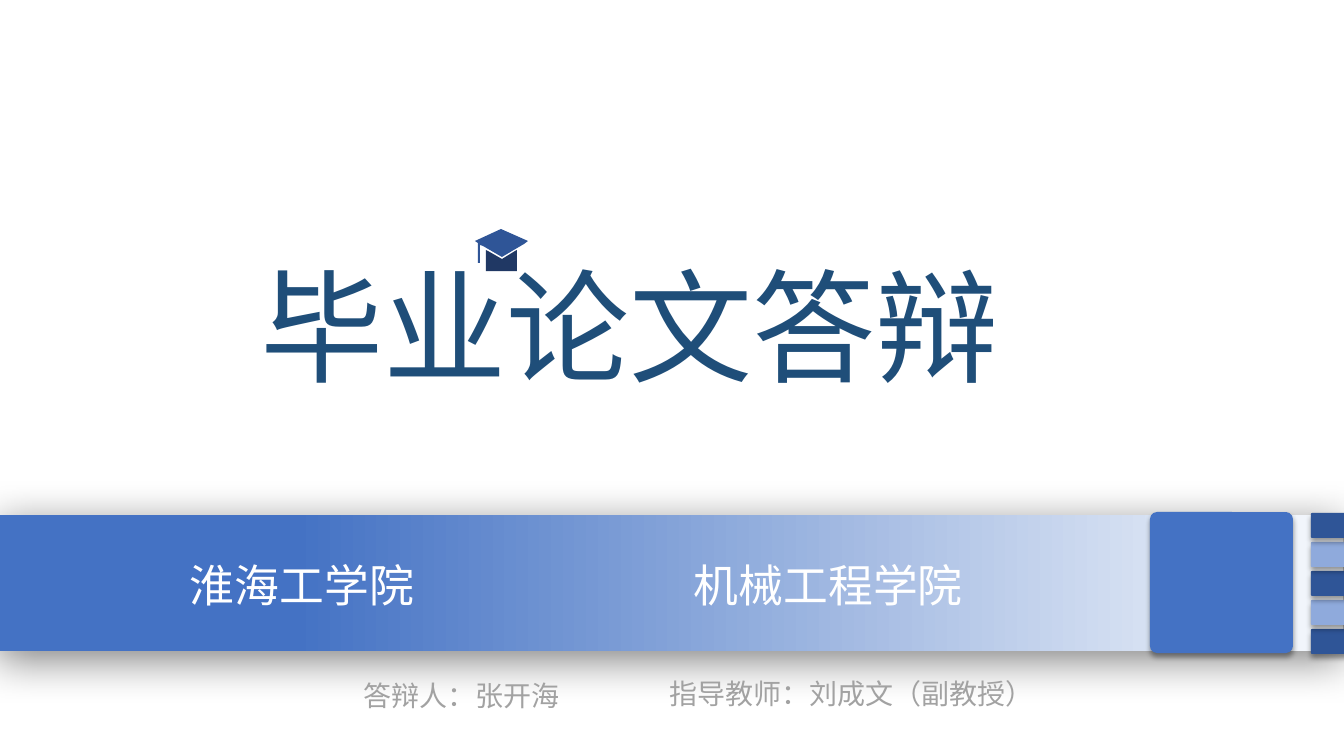
"""Build the opening slide of a graduation thesis defence."""
import lxml.etree
import pptx
import pptx.dml.color
import pptx.enum.shapes
import pptx.enum.text
import pptx.oxml.ns
import pptx.util

PX = 914400 / 100.8
FONT = "Noto Sans CJK SC"
SHAPES = pptx.enum.shapes.MSO_SHAPE
ALIGN = pptx.enum.text.PP_ALIGN
BLUE, DARK_BLUE, LIGHT_BLUE, NAVY = "4472C4", "2F5597", "8FAADC", "203864"
SOFT_SHADOW = (40, 4, 3, 90)
color = pptx.dml.color.RGBColor.from_string
qn = pptx.oxml.ns.qn


def add_block(kind, frame, shadow):
    """Add an unlined shape whose shadow is opacity, blur, distance and angle."""
    block = page.shapes.add_shape(kind, *[round(value * PX) for value in frame])
    block.line.fill.background()
    block.shadow.inherit = False
    opacity, blur, distance, angle = shadow
    effects = block._element.spPr.find(qn("a:effectLst"))
    outer = lxml.etree.SubElement(
        effects, qn("a:outerShdw"), blurRad=str(blur * 12700),
        dist=str(distance * 12700), dir=str(angle * 60000),
        algn="ctr", rotWithShape="0")
    black = lxml.etree.SubElement(outer, qn("a:srgbClr"), val="000000")
    lxml.etree.SubElement(black, qn("a:alpha"), val=str(opacity * 1000))
    return block


def write_line(box, frame, text, size, fill, align):
    """Place a text shape and write its single line."""
    box.left, box.top, box.width, box.height = [round(value * PX) for value in frame]
    box.text_frame.word_wrap = True
    box.text_frame.auto_size = pptx.enum.text.MSO_AUTO_SIZE.NONE
    box.text_frame.vertical_anchor = pptx.enum.text.MSO_ANCHOR.TOP
    para = box.text_frame.paragraphs[0]
    para.alignment = align
    para.line_spacing = 1.0
    span = para.add_run()
    span.text = text
    span.font.size = pptx.util.Pt(size)
    span.font.name = FONT
    span.font.color.rgb = color(fill)
    lxml.etree.SubElement(span.font._element, qn("a:ea"), typeface=FONT)
    return para


deck = pptx.Presentation()
deck.slide_width = round(1344 * PX)
deck.slide_height = round(756 * PX)
page = deck.slides.add_slide(deck.slide_layouts[5])

write_line(page.shapes.title, (250, 245, 767, 188), "毕业论文答辩", 88, "1F4E79", ALIGN.LEFT)

band = add_block(SHAPES.RECTANGLE, (-1, 515, 1344, 136), (50, 31, 6, 97))
band.fill.gradient()
band.fill.gradient_angle = 180
for stop, (position, shade) in zip(band.fill.gradient_stops, [(0, "F7FAFD"), (0.78, BLUE)]):
    stop.position = position
    stop.color.rgb = color(shade)

tiles = [((1311, 513 + 29 * row, 40, 25), LIGHT_BLUE if row % 2 else DARK_BLUE)
         for row in reversed(range(5))]
tiles.append(((1150, 512, 143, 141), BLUE))
for frame, shade in tiles:
    tile = add_block(SHAPES.ROUNDED_RECTANGLE, frame, SOFT_SHADOW)
    tile.adjustments[0] = 0.05
    tile.fill.solid()
    tile.fill.fore_color.rgb = color(shade)

cap_parts = [
    ([(483, 246), (502, 257), (524, 244), (528, 241), (501, 229), (475, 241),
      (478, 243), (478, 263), (480, 263), (480, 245)], DARK_BLUE),
    ([(515, 251), (502, 259), (488, 251), (486, 250), (486, 271), (517, 271),
      (517, 250)], NAVY),
]
for points, shade in cap_parts:
    builder = page.shapes.build_freeform(*points[0], scale=PX)
    builder.add_line_segments(points[1:], close=True)
    part = builder.convert_to_shape()
    part.fill.solid()
    part.fill.fore_color.rgb = color(shade)
    part.line.fill.background()
    part.shadow.inherit = False

captions = [
    ((297, 674, 273, 50), "答辩人：张开海", 20, "A2A2A2", ALIGN.RIGHT),
    ((631, 672, 413, 50), "指导教师：刘成文（副教授）", 20, "A2A2A2", ALIGN.RIGHT),
    ((180, 553, 906, 75), "淮海工学院\t机械工程学院", 32, "FFFFFF", ALIGN.LEFT),
]
for caption in captions:
    para = write_line(page.shapes.add_textbox(0, 0, 0, 0), *caption)
tabs = lxml.etree.SubElement(para._p.get_or_add_pPr(), qn("a:tabLst"))
lxml.etree.SubElement(tabs, qn("a:tab"), pos=str(round(504 * PX)), algn="l")

deck.save("out.pptx")
